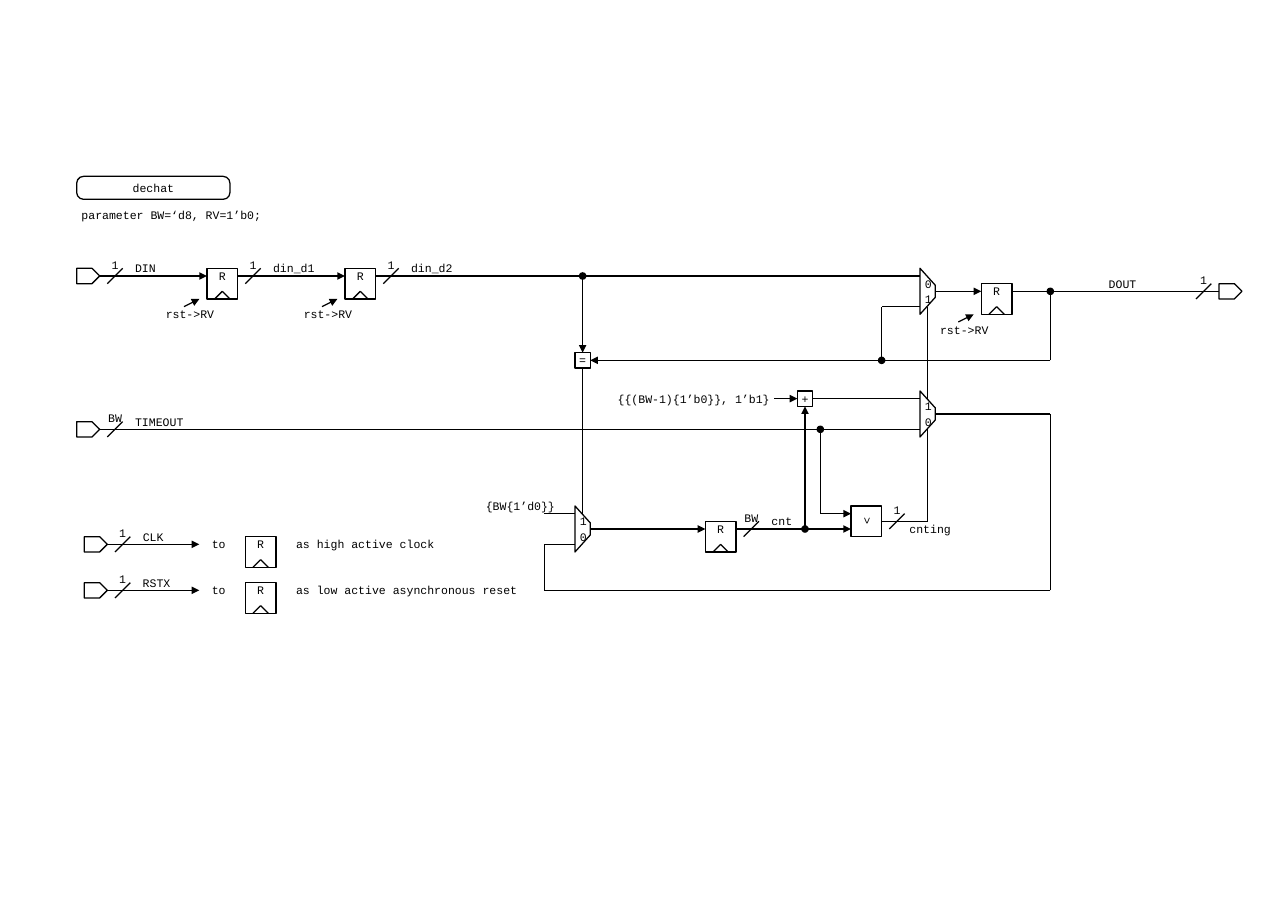
from lxml import etree
from pptx import Presentation
from pptx.dml.color import RGBColor
from pptx.enum.shapes import MSO_CONNECTOR, MSO_SHAPE
from pptx.enum.text import MSO_ANCHOR, MSO_AUTO_SIZE, PP_ALIGN
from pptx.oxml.ns import qn
from pptx.util import Emu, Pt

PX = 9525
STRAIGHT = MSO_CONNECTOR.STRAIGHT
RECT, ROUNDED = MSO_SHAPE.RECTANGLE, MSO_SHAPE.ROUNDED_RECTANGLE
PENTAGON, TRAPEZOID = MSO_SHAPE.PENTAGON, MSO_SHAPE.TRAPEZOID
LEFT, CENTER, RIGHT = PP_ALIGN.LEFT, PP_ALIGN.CENTER, PP_ALIGN.RIGHT
INK = "000000"


def px(*lengths):
    return [Emu(length * PX) for length in lengths]


def color(value):
    return RGBColor.from_string(value)


INSET = px(5)[0]
FRAME = {"margin_left": INSET, "margin_right": INSET, "margin_top": INSET,
         "margin_bottom": INSET, "vertical_anchor": MSO_ANCHOR.MIDDLE,
         "auto_size": MSO_AUTO_SIZE.NONE}
FONT = {"name": "Courier New", "size": Pt(9)}


def apply_format(target, values):
    for name, value in values.items():
        setattr(target, name, value)


def write(box, text, align, wrap=False):
    frame = box.text_frame
    apply_format(frame, {**FRAME, "word_wrap": wrap})
    para = frame.paragraphs[0]
    para.alignment = align
    span = para.add_run()
    span.text = text
    apply_format(span.font, FONT)
    span.font.color.rgb = color(INK)


def add_label(page, x, y, text, align=LEFT, width=48, height=16):
    fitted = 8 * len(text) + 12
    shift = {LEFT: 0, CENTER: (width - fitted) // 2, RIGHT: width - fitted}[align]
    write(page.shapes.add_textbox(*px(x + shift, y, fitted, height)), text, align)


def stroke(line):
    line.color.rgb = color(INK)
    line.width = Pt(1)


def add_outline(page, kind, x, y, width, height):
    shape = page.shapes.add_shape(kind, *px(x, y, width, height))
    shape.shadow.inherit = False
    shape.fill.background()
    stroke(shape.line)
    return shape


def add_wire(page, x1, y1, x2, y2, head=None, tail=None):
    wire = page.shapes.add_connector(STRAIGHT, *px(x1, y1, x2, y2))
    stroke(wire.line)
    for tag, end in (("a:headEnd", head), ("a:tailEnd", tail)):
        if end:
            etree.SubElement(wire.get_or_add_ln(), qn(tag), type=end)
    etree.SubElement(wire.element.spPr, qn("a:effectLst"))


def add_register(page, x, y):
    add_outline(page, RECT, x, y, 32, 32)
    for foot in (x + 8, x + 24):
        add_wire(page, foot, y + 32, x + 16, y + 24)
    add_label(page, x + 8, y, "R", CENTER, 16)


def add_reset_note(page, x, y):
    add_wire(page, x - 24, y + 40, x - 8, y + 32, tail="triangle")
    add_label(page, x - 48, y + 40, "rst->RV")


def add_mux(page, x, y, upper, lower):
    body = add_outline(page, TRAPEZOID, x - 16, y + 16, 48, 16)
    body.rotation = 90
    body.adjustments[0] = 1.11
    add_label(page, x, y + 8, upper)
    add_label(page, x, y + 24, lower)


def add_signal(page, x, y, bits, name, name_dx=24, name_dy=-8):
    add_wire(page, x, y + 16, x + 16, y)
    add_label(page, x, y - 8, bits, CENTER, 16, 8)
    add_label(page, x + name_dx, y + name_dy, name)


def add_operator(page, x, y, sign, size=16, rotation=0, wrap=False):
    box = add_outline(page, RECT, x, y, size, size)
    box.rotation = rotation
    write(box, sign, CENTER, wrap)


def add_legend(page, y, name, meaning):
    add_outline(page, PENTAGON, 88, y, 24, 16)
    add_signal(page, 120, y, "1", name)
    add_wire(page, 112, y + 8, 208, y + 8, tail="triangle")
    add_label(page, 216, y, "to")
    add_register(page, 256, y)
    add_label(page, 304, y, meaning)


PLAIN_WIRES = [
    (568, 536, 600, 536), (568, 568, 600, 568), (1096, 432, 1096, 616),
    (1096, 616, 568, 616), (568, 616, 568, 568), (848, 416, 960, 416),
    (1056, 304, 1272, 304), (960, 320, 920, 320), (392, 288, 960, 288),
    (968, 416, 968, 320), (608, 384, 608, 536), (976, 432, 1096, 432),
    (104, 448, 960, 448), (968, 544, 968, 448), (920, 544, 968, 544),
]
ARROW_WIRES = [
    (808, 416, 832, 416), (616, 552, 736, 552), (768, 552, 888, 552),
    (976, 304, 1024, 304), (104, 288, 216, 288), (248, 288, 360, 288),
    (1096, 376, 616, 376), (856, 536, 888, 536),
]
BRANCH_WIRES = [(1096, 304, 1096, 376), (920, 376, 920, 320), (856, 448, 856, 536)]
BRANCH_ARROWS = [(840, 552, 840, 424), (608, 288, 608, 368)]
WIRE_GROUPS = [(PLAIN_WIRES, None, None), (ARROW_WIRES, None, "triangle"),
               (BRANCH_WIRES, "oval", None), (BRANCH_ARROWS, "oval", "triangle")]
SIGNALS = [
    (112, 280, "1", "DIN"), (256, 280, "1", "din_d1"), (400, 280, "1", "din_d2"),
    (1248, 296, "1", "DOUT", -96), (112, 440, "BW", "TIMEOUT"),
    (776, 544, "BW", "cnt"), (928, 536, "1", "cnting", 16, 8),
]


def main():
    deck = Presentation()
    deck.slide_width, deck.slide_height = px(1344, 960)
    page = deck.slides.add_slide(deck.slide_layouts[6])

    title = add_outline(page, ROUNDED, 80, 184, 160, 24)
    title.adjustments[0] = 0.3
    write(title, "dechat", CENTER, wrap=True)
    add_label(page, 80, 216, "parameter BW=‘d8, RV=1’b0;")

    for wires, head, tail in WIRE_GROUPS:
        for wire in wires:
            add_wire(page, *wire, head, tail)
    for x, y in ((80, 280), (80, 440), (1272, 296)):
        add_outline(page, PENTAGON, x, y, 24, 16)
    for signal in SIGNALS:
        add_signal(page, *signal)

    for x, y in ((216, 280), (360, 280), (1024, 296)):
        add_register(page, x, y)
        add_reset_note(page, x, y)
    add_register(page, 736, 544)

    add_mux(page, 960, 280, "0", "1")
    add_mux(page, 960, 408, "1", "0")
    add_mux(page, 600, 528, "1", "0")
    add_operator(page, 600, 368, "=")
    add_operator(page, 832, 408, "+")
    add_operator(page, 888, 528, "<", 32, 270, True)
    add_label(page, 760, 408, "{{(BW-1){1’b0}}, 1’b1}", RIGHT)
    add_label(page, 536, 520, "{BW{1’d0}}", RIGHT)

    add_legend(page, 560, "CLK", "as high active clock")
    add_legend(page, 608, "RSTX", "as low active asynchronous reset")
    deck.save("out.pptx")


if __name__ == "__main__":
    main()
